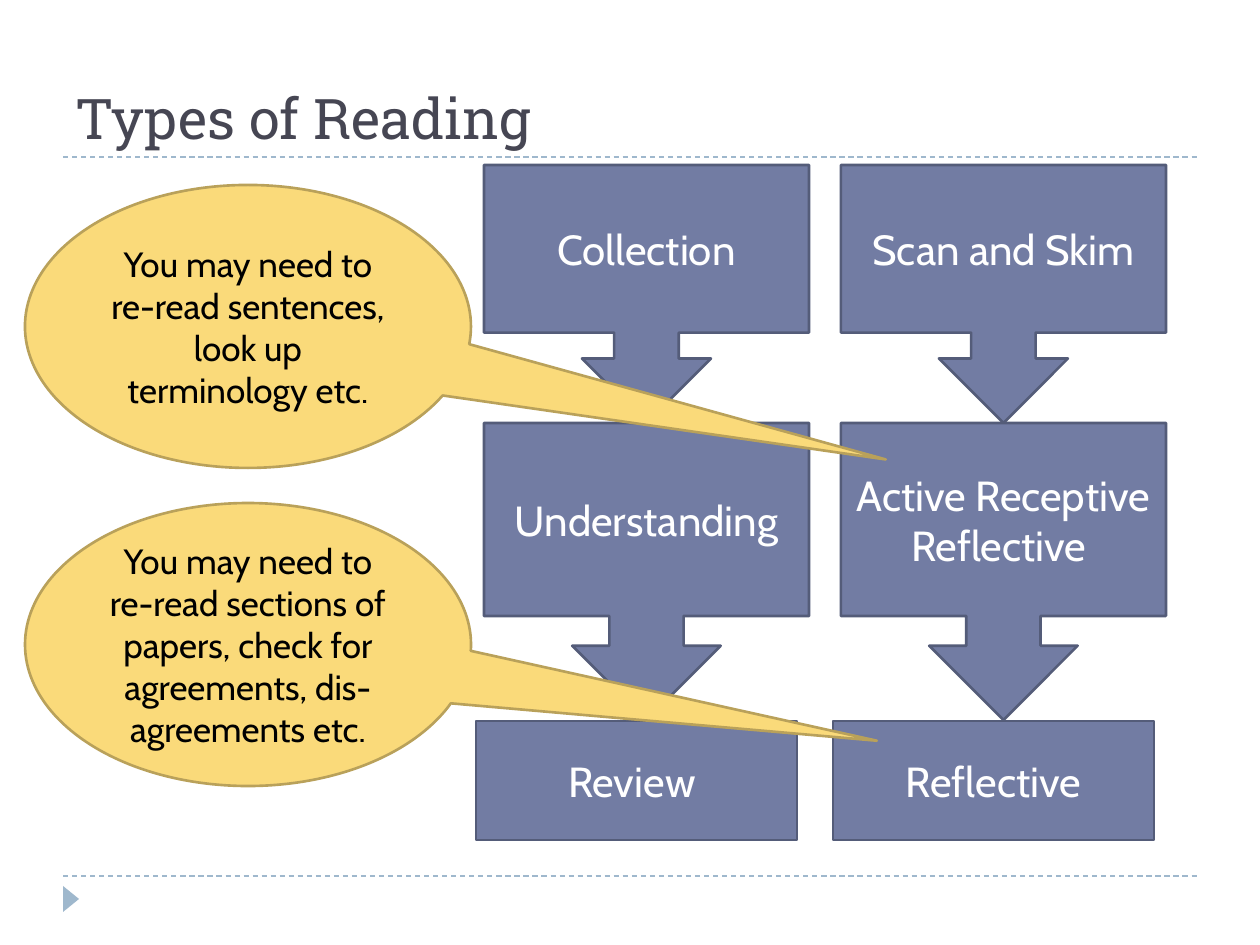
from dataclasses import dataclass

from pptx import Presentation, util as u
from pptx.dml.color import RGBColor
from pptx.enum import dml, shapes, text
from pptx.oxml.ns import qn
from lxml import etree

EMU_PER_PX = 914400 / 126


@dataclass(frozen=True)
class Theme:
    title_font: str = "Roboto Slab"
    body_font: str = "Cabin"
    title_size: int = 32
    step_size: int = 24
    note_size: int = 20
    title: str = "464653"
    accent: str = "9FB8CD"
    step: str = "727CA3"
    step_edge: str = "545C79"
    step_text: str = "FFFFFF"
    note: str = "FADA7A"
    note_edge: str = "B9A15A"
    note_text: str = "000000"


THEME = Theme()

STEP_COLUMNS = [
    (484, ["Collection", "Understanding", "Review "]),
    (841, ["Scan and Skim", "Active Receptive Reflective ", "Reflective"]),
]
# Kind, shift from the column's left edge, top, width, height
STEP_ROWS = [
    (shapes.MSO_SHAPE.DOWN_ARROW_CALLOUT, 0, 165, 325, 258),
    (shapes.MSO_SHAPE.DOWN_ARROW_CALLOUT, 0, 423, 325, 297),
    (shapes.MSO_SHAPE.RECTANGLE, -8, 721, 321, 119),
]
# Top, pointer offset as shares of width and height, wording
NOTES = [
    (185, (1.43, 0.47),
     "You may need to re-read sentences, look up terminology etc."),
    (503, (1.41, 0.34),
     "You may need to re-read sections of papers, check for agreements, "
     "dis-agreements etc."),
]


def px(*lengths):
    return [u.Emu(round(length * EMU_PER_PX)) for length in lengths]


def rgb(value):
    return RGBColor.from_string(value)


def write(shape, wording, *, size, color, font=THEME.body_font,
          align=text.PP_ALIGN.CENTER, anchor=text.MSO_ANCHOR.MIDDLE):
    frame = shape.text_frame
    frame.word_wrap = True
    frame.vertical_anchor = anchor
    paragraph = frame.paragraphs[0]
    paragraph.alignment = align
    run = paragraph.add_run()
    run.text = wording
    run.font.name = font
    run.font.size = u.Pt(size)
    run.font.color.rgb = rgb(color)


def add_block(parent, kind, box, fill, edge=None):
    block = parent.add_shape(kind, *px(*box))
    block.shadow.inherit = False
    block.fill.solid()
    block.fill.fore_color.rgb = rgb(fill)
    if edge:
        block.line.color.rgb = rgb(edge)
        block.line.width = u.Pt(1.5)
    else:
        block.line.fill.background()
    return block


def add_rule(slide, y):
    rule = slide.shapes.add_connector(
        shapes.MSO_CONNECTOR.STRAIGHT, *px(63, y, 1197, y))
    rule.line.color.rgb = rgb(THEME.accent)
    rule.line.width = u.Pt(0.75)
    rule.line.dash_style = dml.MSO_LINE.DASH
    etree.SubElement(rule._element.spPr, qn("a:effectLst"))


def add_title(slide, wording):
    title = slide.shapes.add_textbox(*px(63, 21, 1134, 136))
    write(title, wording, size=THEME.title_size, color=THEME.title,
          font=THEME.title_font, align=text.PP_ALIGN.LEFT,
          anchor=text.MSO_ANCHOR.BOTTOM)


def add_step_column(slide, left, labels):
    column = slide.shapes.add_group_shape()
    for label, (kind, shift, top, width, height) in zip(labels, STEP_ROWS):
        step = add_block(column.shapes, kind, (left + shift, top, width, height),
                         THEME.step, THEME.step_edge)
        write(step, label, size=THEME.step_size, color=THEME.step_text)


def add_note(slide, top, pointer, wording):
    note = add_block(slide.shapes, shapes.MSO_SHAPE.OVAL_CALLOUT,
                     (25, top, 446, 283), THEME.note, THEME.note_edge)
    for index, share in enumerate(pointer):
        note.adjustments[index] = share
    write(note, wording, size=THEME.note_size, color=THEME.note_text)


def main():
    deck = Presentation()
    deck.slide_width, deck.slide_height = px(1260, 945)
    slide = deck.slides.add_slide(deck.slide_layouts[6])

    for y in (876, 157):
        add_rule(slide, y)
    page_marker = add_block(slide.shapes, shapes.MSO_SHAPE.ISOSCELES_TRIANGLE,
                            (58, 891, 26, 16), THEME.accent)
    page_marker.rotation = 90

    add_title(slide, "Types of Reading")
    for left, labels in STEP_COLUMNS:
        add_step_column(slide, left, labels)
    for note in NOTES:
        add_note(slide, *note)

    deck.save("out.pptx")


if __name__ == "__main__":
    main()
